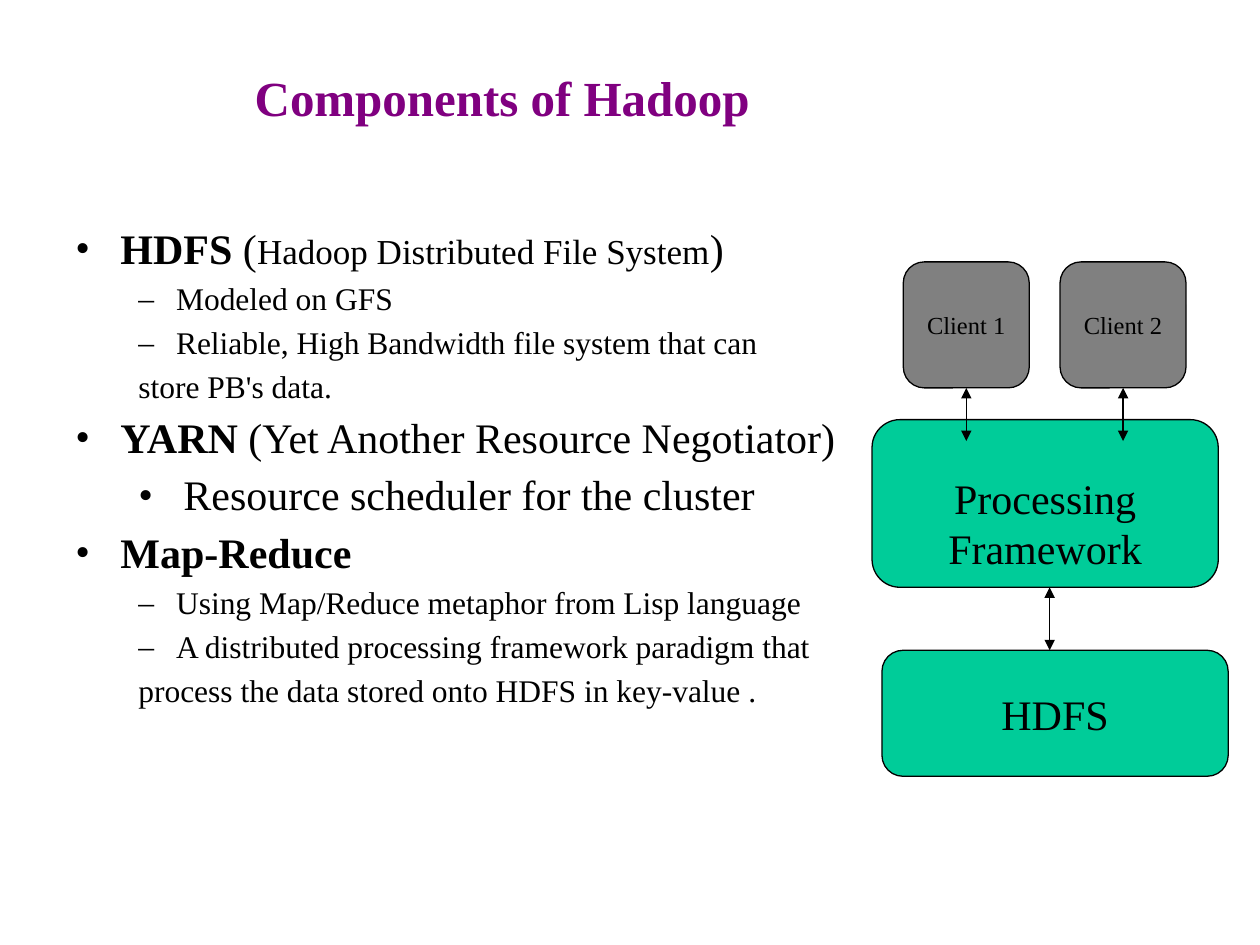
"""Build the slide on the components of Hadoop, with its layer diagram."""
from lxml import etree
from pptx import Presentation
from pptx.dml.color import RGBColor
from pptx.enum.shapes import MSO_CONNECTOR, MSO_SHAPE
from pptx.enum.text import MSO_ANCHOR, MSO_AUTO_SIZE, PP_ALIGN
from pptx.oxml.ns import qn
from pptx.util import Cm, Pt

ROUNDED, STRAIGHT = MSO_SHAPE.ROUNDED_RECTANGLE, MSO_CONNECTOR.STRAIGHT
LEFT, CENTER, JUSTIFY = PP_ALIGN.LEFT, PP_ALIGN.CENTER, PP_ALIGN.JUSTIFY
MIDDLE, BOTTOM = MSO_ANCHOR.MIDDLE, MSO_ANCHOR.BOTTOM

THEME = {
    "font": "Times New Roman",
    "title": RGBColor(0x80, 0x00, 0x80),
    "ink": RGBColor(0x00, 0x00, 0x00),
    "layer": RGBColor(0x00, 0xCC, 0x99),
    "client": RGBColor(0x80, 0x80, 0x80),
    "title_size": 28, "main_size": 24, "gloss_size": 20,
    "detail_size": 18, "client_size": 14,
    "line": 0.75, "spacing": 0.93,
}

TITLE = "Components of Hadoop"
POINTS = [
    ("main", [("HDFS", True), (" (", False),
              ("Hadoop Distributed File System", False, "gloss_size"), (")", False)]),
    ("detail", [("Modeled on GFS", False)]),
    ("detail", [("Reliable, High Bandwidth file system that can ", False)]),
    ("carry", [("store PB's data.", False)]),
    ("main", [("YARN ", True), ("(Yet Another Resource Negotiator)", False)]),
    ("sub", [("Resource scheduler for the cluster", False)]),
    ("main", [("Map-Reduce", True)]),
    ("detail", [("Using Map/Reduce metaphor from Lisp language", False)]),
    ("detail", [("A distributed processing framework paradigm that ", False)]),
    ("carry", [("process the data stored onto HDFS in key-value .", False)]),
]
STYLES = {
    "main": dict(level=0, margin=0.91, hang=0.91, bullet="•", size="main_size", before=6, align=LEFT),
    "sub": dict(level=1, margin=2.18, hang=0.91, bullet="•", size="main_size", before=6, align=LEFT),
    "detail": dict(level=1, margin=2.03, hang=0.76, bullet="–", size="detail_size", before=5, align=JUSTIFY),
    "carry": dict(level=1, margin=2.03, hang=0.76, bullet=None, size="detail_size", before=5, align=JUSTIFY),
}
LAYERS = [
    ("HDFS", (17.78, 13.11, 6.98, 2.54), MIDDLE),
    ("Processing Framework", (17.58, 8.46, 6.98, 3.38), BOTTOM),
]
CLIENTS = ["Client 1", "Client 2"]
CLIENT_LEFT, CLIENT_TOP, CLIENT_SIDE, CLIENT_PITCH = 18.21, 5.28, 2.54, 3.16
CLIENT_REACH = 1.07
LAYER_LINK_X = 21.16


def style_font(font, size, color=THEME["ink"], bold=False):
    font.name, font.size, font.bold = THEME["font"], Pt(THEME[size]), bold
    font.color.rgb = color


def set_bullet(paragraph, style):
    properties = paragraph._p.get_or_add_pPr()
    properties.set("marL", str(Cm(style["margin"])))
    properties.set("indent", str(-Cm(style["hang"])))
    if style["bullet"]:
        tint = etree.SubElement(properties, qn("a:buClr"))
        etree.SubElement(tint, qn("a:srgbClr"), val=str(THEME["ink"]))
        etree.SubElement(properties, qn("a:buFont"), typeface=THEME["font"])
        etree.SubElement(properties, qn("a:buChar"), char=style["bullet"])
    else:
        etree.SubElement(properties, qn("a:buNone"))


def add_title(slide):
    title = slide.shapes.title
    title.left, title.top, title.width, title.height = Cm(4.88), Cm(0.43), Cm(18.62), Cm(3.18)
    frame = title.text_frame
    frame.text = TITLE
    frame.auto_size, frame.vertical_anchor = MSO_AUTO_SIZE.NONE, MIDDLE
    heading = frame.paragraphs[0]
    heading.alignment, heading.line_spacing = LEFT, THEME["spacing"]
    style_font(heading.runs[0].font, "title_size", THEME["title"], True)


def add_points(slide):
    frame = slide.shapes.add_textbox(Cm(1.27), Cm(4.45), Cm(22.86), Cm(12.57)).text_frame
    frame.word_wrap = True
    for index, (kind, pieces) in enumerate(POINTS):
        style = STYLES[kind]
        point = frame.add_paragraph() if index else frame.paragraphs[0]
        set_bullet(point, style)
        point.level, point.alignment = style["level"], style["align"]
        point.line_spacing = THEME["spacing"]
        point.space_before = Pt(style["before"] if index else 0)
        for wording, bold, *size in pieces:
            run = point.add_run()
            run.text = wording
            style_font(run.font, size[0] if size else style["size"], bold=bold)


def add_box(slide, label, place, fill, size, anchor=MIDDLE):
    box = slide.shapes.add_shape(ROUNDED, *map(Cm, place))
    box.shadow.inherit = False
    box.fill.solid()
    box.fill.fore_color.rgb = fill
    box.line.color.rgb, box.line.width = THEME["ink"], Pt(THEME["line"])
    frame = box.text_frame
    frame.text = label
    frame.word_wrap, frame.vertical_anchor = True, anchor
    frame.paragraphs[0].alignment = CENTER
    style_font(frame.paragraphs[0].runs[0].font, size)


def add_link(slide, x, top, bottom):
    link = slide.shapes.add_connector(STRAIGHT, Cm(x), Cm(top), Cm(x), Cm(bottom))
    link.line.color.rgb, link.line.width = THEME["ink"], Pt(THEME["line"])
    outline = link.line._get_or_add_ln()
    for end in ("a:headEnd", "a:tailEnd"):
        etree.SubElement(outline, qn(end), type="triangle")
    etree.SubElement(link._element.spPr, qn("a:effectLst"))


def add_diagram(slide):
    for label, place, anchor in LAYERS:
        add_box(slide, label, place, THEME["layer"], "main_size", anchor)
    client_bottom = CLIENT_TOP + CLIENT_SIDE
    for index, label in enumerate(CLIENTS):
        left = CLIENT_LEFT + index * CLIENT_PITCH
        add_box(slide, label, (left, CLIENT_TOP, CLIENT_SIDE, CLIENT_SIDE),
                THEME["client"], "client_size")
        add_link(slide, left + CLIENT_SIDE / 2, client_bottom, client_bottom + CLIENT_REACH)
    (_, storage, _), (_, processing, _) = LAYERS
    add_link(slide, LAYER_LINK_X, processing[1] + processing[3], storage[1])


def main():
    deck = Presentation()
    deck.slide_width, deck.slide_height = Cm(25.4), Cm(19.05)
    slide = deck.slides.add_slide(deck.slide_layouts[5])
    add_title(slide)
    add_points(slide)
    add_diagram(slide)
    deck.save("out.pptx")


if __name__ == "__main__":
    main()
